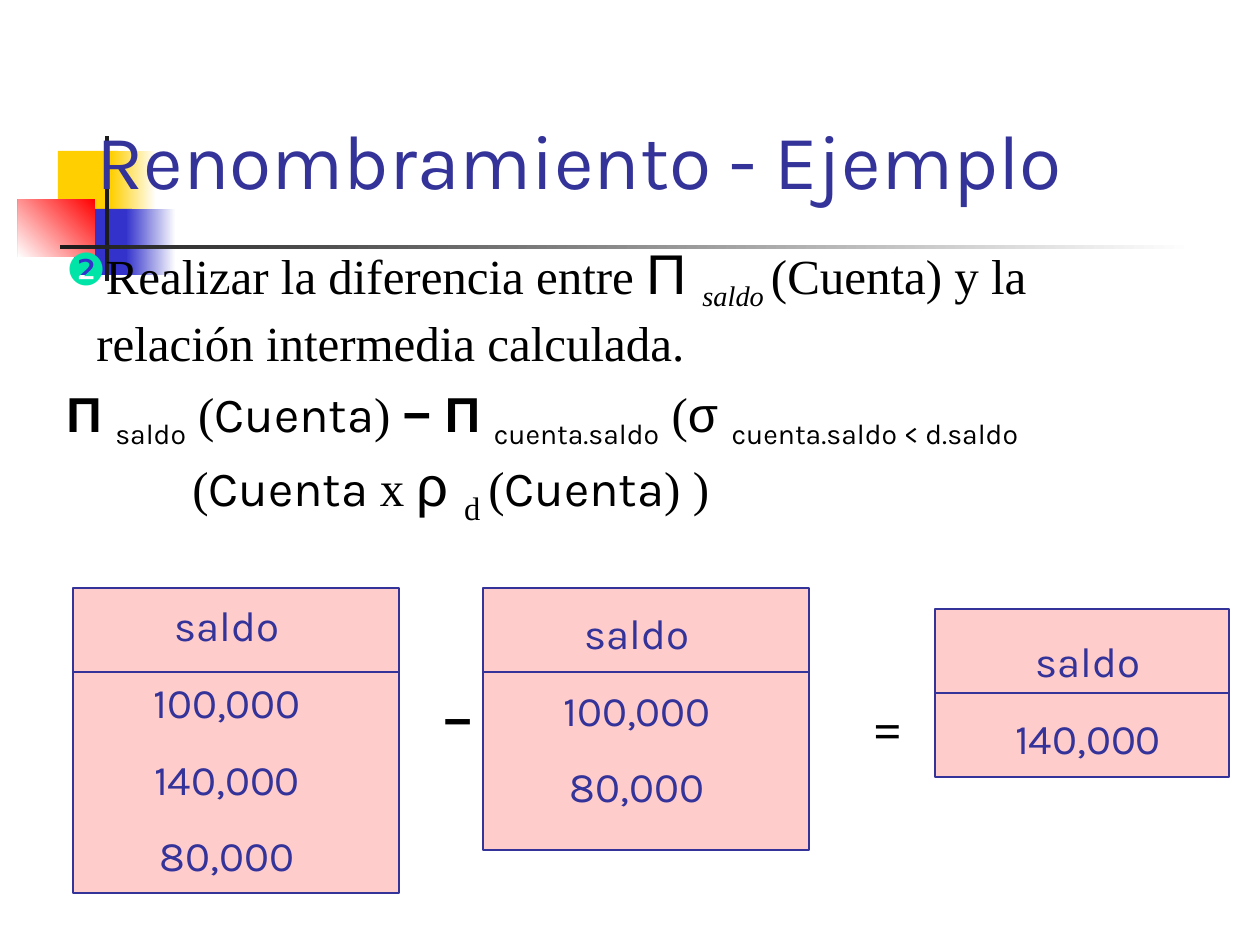
from lxml.etree import SubElement
from pptx import Presentation
from pptx.dml.color import RGBColor
from pptx.enum.shapes import MSO_CONNECTOR as Connector, MSO_SHAPE as Shape
from pptx.enum.text import MSO_ANCHOR as Anchor, PP_ALIGN as Align
from pptx.oxml.ns import qn
from pptx.util import Pt

EMU_PER_PX = 914400 / 126
SERIF, SANS, KARLA = "Times New Roman", "Arial", "Karla"
INK, NAVY, PINK, WHITE = "000000", "333399", "FFCCCC", "FFFFFF"
YELLOW, BLUE, RED, DARK = "FFCF01", "3333CC", "FF0000", "1C1C1C"

DECORATION = [
    ((58, 151, 60, 66), [YELLOW], 0),
    ((111, 151, 45, 66), [WHITE, YELLOW], 180),
    ((74, 209, 58, 66), [BLUE], 0),
    ((126, 209, 50, 66), [WHITE, BLUE], 180),
    ((18, 199, 77, 58), [RED, WHITE], 225),
    ((105, 136, 4, 145), [DARK], 0),
    ((60, 245, 1134, 4), [WHITE, DARK], 180),
]
TITLE = ("Renombramiento - Ejemplo", (84, 53, 1071, 158))
BODY_AREA = (54, 232, 1144, 301)
STEP = [
    ("Realizar la diferencia entre ", SERIF, 28, ""),
    ("Π ", SANS, 32, ""),
    ("saldo ", SERIF, 28, "italic sub"),
    ("(Cuenta) y la relación intermedia calculada.", SERIF, 28, ""),
]
FORMULA = [
    [
        ("Π ", SANS, 28, "bold"),
        ("saldo", KARLA, 28, "sub"),
        (" (", SERIF, 28, ""),
        ("Cuenta", KARLA, 28, ""),
        (") ", SERIF, 28, ""),
        ("− Π ", SANS, 28, "bold"),
        ("cuenta.saldo", KARLA, 28, "sub"),
        (" (", SERIF, 28, ""),
        ("σ ", SANS, 28, ""),
        ("cuenta.saldo < d.saldo", KARLA, 28, "sub"),
    ],
    [
        ("\t(", SERIF, 28, ""),
        ("Cuenta ", KARLA, 28, ""),
        ("x ", SERIF, 28, ""),
        ("ρ ", SANS, 32, ""),
        ("d ", SERIF, 32, "sub"),
        ("(", SERIF, 28, ""),
        ("Cuenta", KARLA, 28, ""),
        (") )", SERIF, 28, ""),
    ],
]
RELATIONS = [
    ((73, 588, 326, 305), (137, 593, 180, 294), 672, ["saldo", "100,000", "140,000", "80,000"]),
    ((483, 588, 326, 262), (547, 601, 180, 217), 672, ["saldo", "100,000", "80,000"]),
    ((935, 609, 294, 168), (998, 629, 180, 140), 693, ["saldo", "140,000"]),
]
OPERATORS = [("−", SANS, (431, 683, 42, 72)), ("=", SERIF, (861, 693, 53, 72))]


def emu(*lengths):
    return [round(length * EMU_PER_PX) for length in lengths]


def color(value):
    return RGBColor.from_string(value)


def add_block(shapes, area, colors, angle=0, line=None):
    block = shapes.add_shape(Shape.RECTANGLE, *emu(*area))
    block.shadow.inherit = False
    if len(colors) == 1:
        block.fill.solid()
        block.fill.fore_color.rgb = color(colors[0])
    else:
        block.fill.gradient()
        block.fill.gradient_angle = angle
        for stop, value in zip(block.fill.gradient_stops, colors):
            stop.color.rgb = color(value)
    if line:
        block.line.color.rgb = color(line)
        block.line.width = Pt(0.75)
    else:
        block.line.fill.background()
    return block


def add_span(para, text, font, size, style="", ink=INK):
    span = para.add_run()
    span.text = text
    span.font.name = font
    span.font.size = Pt(size)
    span.font.color.rgb = color(ink)
    span.font.bold = "bold" in style
    span.font.italic = "italic" in style
    if "sub" in style:
        span.font._element.set("baseline", "-25000")


def set_frame(box, wrap):
    box.text_frame.word_wrap = wrap
    box.text_frame.vertical_anchor = Anchor.MIDDLE
    return box.text_frame


def add_title(slide):
    text, area = TITLE
    title = slide.shapes.title
    title.left, title.top, title.width, title.height = emu(*area)
    title.text_frame.vertical_anchor = Anchor.BOTTOM
    para = title.text_frame.paragraphs[0]
    para.alignment = Align.LEFT
    add_span(para, text, KARLA, 44, ink=NAVY)
    slide.shapes._spTree.append(title._element)


def add_body(slide):
    frame = set_frame(slide.shapes.add_textbox(*emu(*BODY_AREA)), True)
    step = frame.paragraphs[0]
    props = step._p.get_or_add_pPr()
    margin = emu(30)[0]
    props.set("marL", str(margin))
    props.set("indent", str(-margin))
    bullet_color = SubElement(props, qn("a:buClr"))
    SubElement(bullet_color, qn("a:srgbClr"), val="00E4A8")
    SubElement(props, qn("a:buSzPct"), val="90000")
    SubElement(props, qn("a:buChar"), char="❷")
    for span in STEP:
        add_span(step, *span)

    formula = frame.add_paragraph()
    formula.space_before = Pt(7)
    tabs = SubElement(formula._p.get_or_add_pPr(), qn("a:tabLst"))
    SubElement(tabs, qn("a:tab"), pos=str(emu(126)[0]), algn="l")
    for number, line in enumerate(FORMULA):
        if number:
            formula.add_line_break()
        for span in line:
            add_span(formula, *span)


def add_relation(slide, frame_area, text_area, rule_y, values):
    group = slide.shapes.add_group_shape()
    add_block(group.shapes, frame_area, [PINK], line=NAVY)
    frame = set_frame(add_block(group.shapes, text_area, [PINK]), False)
    for number, value in enumerate(values):
        para = frame.add_paragraph() if number else frame.paragraphs[0]
        para.alignment = Align.CENTER
        if number:
            para.space_before = Pt(15)
        add_span(para, value, KARLA, 24, ink=NAVY)
    left, _, width, _ = frame_area
    rule = group.shapes.add_connector(
        Connector.STRAIGHT, *emu(left, rule_y, left + width, rule_y))
    rule.line.color.rgb = color(NAVY)
    rule.line.width = Pt(0.75)
    SubElement(rule._element.spPr, qn("a:effectLst"))


def add_operator(slide, symbol, font, area):
    frame = set_frame(slide.shapes.add_textbox(*emu(*area)), False)
    para = frame.paragraphs[0]
    para.alignment = Align.CENTER
    add_span(para, symbol, font, 28, "bold")


def main():
    deck = Presentation()
    deck.slide_width, deck.slide_height = emu(1260, 945)
    slide = deck.slides.add_slide(deck.slide_layouts[5])
    for area, colors, angle in DECORATION:
        add_block(slide.shapes, area, colors, angle)
    add_title(slide)
    add_body(slide)
    for relation in RELATIONS:
        add_relation(slide, *relation)
    for operator in OPERATORS:
        add_operator(slide, *operator)
    deck.save("out.pptx")


if __name__ == "__main__":
    main()
